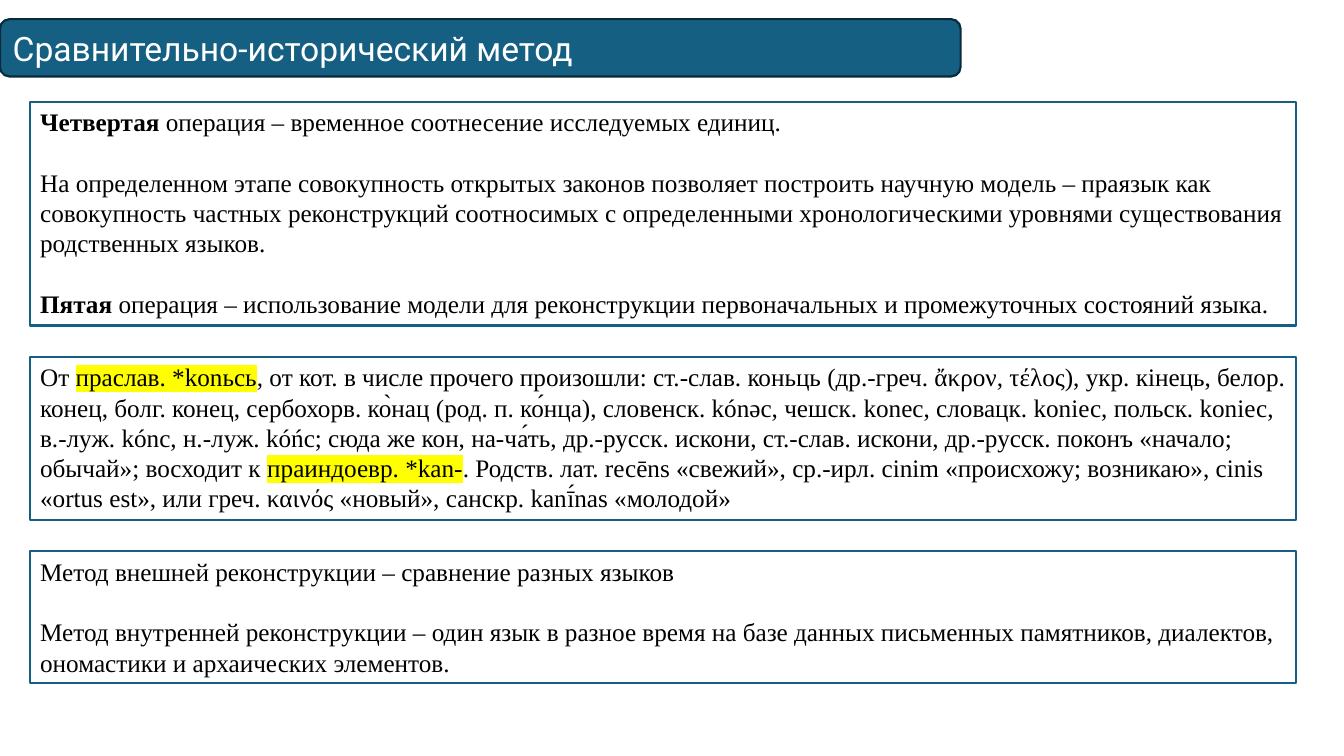
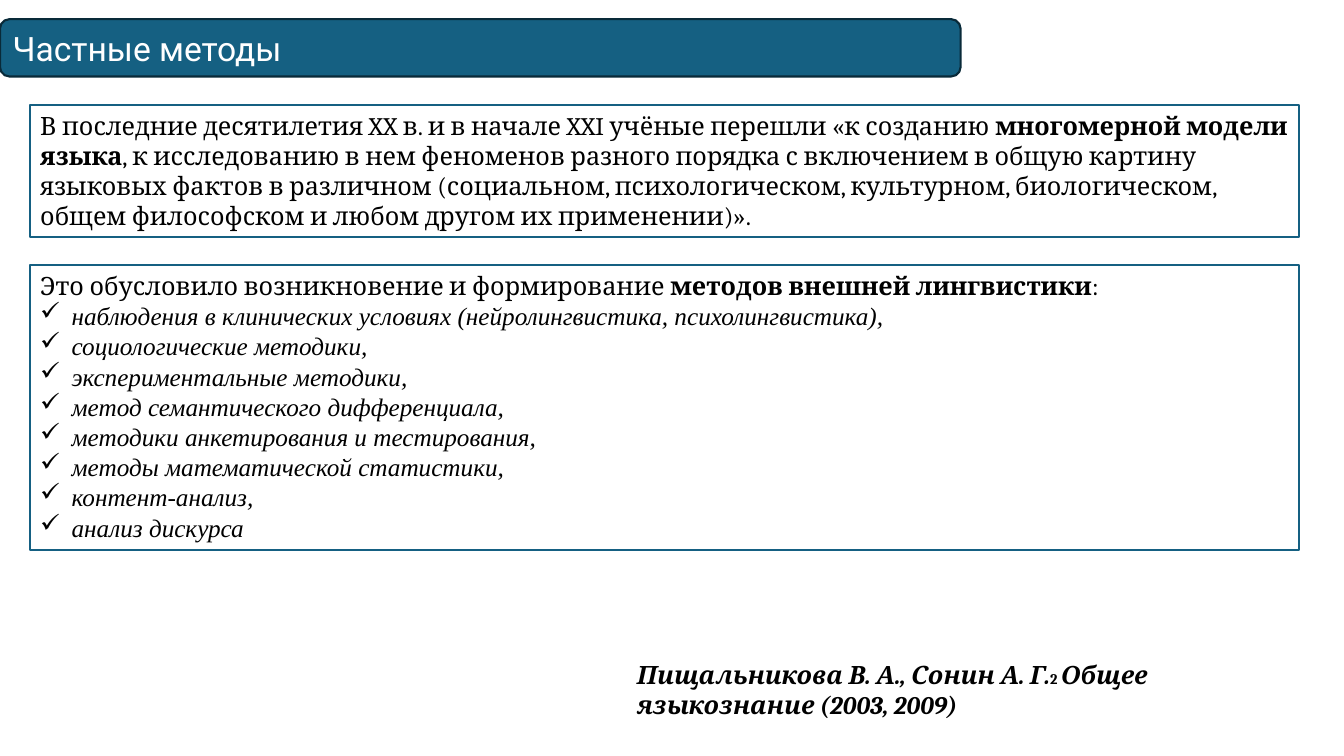
from lxml import etree
from pptx import Presentation
from pptx.dml.color import RGBColor
from pptx.enum.shapes import MSO_SHAPE
from pptx.enum.text import MSO_ANCHOR, PP_ALIGN
from pptx.oxml.ns import qn
from pptx.util import Pt

RECT, ROUNDED = MSO_SHAPE.RECTANGLE, MSO_SHAPE.ROUNDED_RECTANGLE
TOP, MIDDLE, LEFT = MSO_ANCHOR.TOP, MSO_ANCHOR.MIDDLE, PP_ALIGN.LEFT

# Shared look
TEAL, DARK_TEAL, WHITE, BLACK, YELLOW = "156082", "092A39", "FFFFFF", "000000", "FFFF00"
TITLE_FONT, SERIF, BOOK = "Roboto", "Times New Roman", "Cambria"
BODY_SIZE, NOTE_SIZE, TITLE_SIZE = 18, 10.5, 24
LINE_PITCH = 21.6
MARGIN = 21.6
BULLET_INDENT = 22.5


def rgb(value):
    return RGBColor.from_string(value)


def write(frame, paragraphs, font):
    """Each paragraph is (kind, runs); each run is (text, style letters).

    Kinds: "" plain, "gap" one line of space above, "check" ticked item.
    Styles: b bold, i italic, h highlighted, s small.
    """
    frame.word_wrap = True
    for index, (kind, runs) in enumerate(paragraphs):
        paragraph = frame.paragraphs[0] if index == 0 else frame.add_paragraph()
        paragraph.alignment = LEFT
        paragraph.line_spacing = Pt(LINE_PITCH)
        if kind == "gap":
            paragraph.space_before = Pt(LINE_PITCH)
        if kind == "check":
            properties = paragraph._p.get_or_add_pPr()
            properties.set("marL", str(Pt(BULLET_INDENT)))
            properties.set("indent", str(-Pt(BULLET_INDENT)))
            etree.SubElement(properties, qn("a:buChar"), char="✓")
        for text, style in runs:
            run = paragraph.add_run()
            run.text = text
            run.font.size = Pt(NOTE_SIZE if "s" in style else BODY_SIZE)
            run.font.bold = "b" in style
            run.font.italic = "i" in style
            run.font.color.rgb = rgb(BLACK)
            run.font.name = SERIF if kind == "check" else font
            if "h" in style:
                highlight = etree.Element(qn("a:highlight"))
                etree.SubElement(highlight, qn("a:srgbClr"), val=YELLOW)
                run.font._element.find(qn("a:solidFill")).addnext(highlight)


# Content
operations = [
    ("", [("Четвертая", "b"),
          (" операция – временное соотнесение исследуемых единиц.", "")]),
    ("gap", [("На определенном этапе совокупность открытых законов позволяет построить "
              "научную модель – праязык как совокупность частных реконструкций соотносимых "
              "с определенными хронологическими уровнями существования родственных языков.",
              "")]),
    ("gap", [("Пятая", "b"),
             (" операция – использование модели для реконструкции первоначальных и "
              "промежуточных состояний языка.", "")]),
]
etymology = [
    ("", [("От ", ""),
          ("праслав. *konьcь", "h"),
          (", от кот. в числе прочего произошли: ст.-слав. коньць (др.-греч. ἄκρον, τέλος), "
           "укр. кiнець, белор. конец, болг. конец, сербохорв. ко̀нац (род. п. ко́нца), "
           "словенск. kónǝc, чешск. konec, словацк. kоniес, польск. kоniес, в.-луж. kónc, "
           "н.-луж. kóńc; сюда же кон, на-ча́ть, др.-русск. искони, ст.-слав. искони, "
           "др.-русск. поконъ «начало; обычай»; восходит к ", ""),
          ("праиндоевр. *kan-", "h"),
          (". Родств. лат. rесēns «свежий», ср.-ирл. cinim «происхожу; возникаю», cinis "
           "«ortus est», или греч. καινός «новый», санскр. kanī́nas «молодой»", "")]),
]
reconstruction = [
    ("", [("Метод внешней реконструкции – сравнение разных языков", "")]),
    ("gap", [("Метод внутренней реконструкции – один язык в разное время на базе данных "
              "письменных памятников, диалектов, ономастики и архаических элементов.", "")]),
]
language_model = [
    ("", [("В последние десятилетия XX в. и в начале XXI учёные перешли «к созданию ", ""),
          ("многомерной модели языка", "b"),
          (", к исследованию в нем феноменов разного порядка с включением в общую картину "
           "языковых фактов в различном (социальном, психологическом, культурном, "
           "биологическом, общем философском и любом другом их применении)».", "")]),
]
external_methods = [
    ("", [("Это обусловило возникновение и формирование ", ""),
          ("методов внешней лингвистики", "b"), (":", "")]),
] + [("check", [(method, "i")]) for method in (
    "наблюдения в клинических условиях (нейролингвистика, психолингвистика),",
    "социологические методики,",
    "экспериментальные методики,",
    "метод семантического дифференциала,",
    "методики анкетирования и тестирования,",
    "методы математической статистики,",
    "контент-анализ,",
    "анализ дискурса",
)]
citation = [
    ("", [("Пищальникова В. А., Сонин А. Г.", "bi"), ("2 ", "bs"),
          ("Общее языкознание (2003, 2009)", "bi")]),
]

# Title, font, first top, gap, panel width, panels as (height, paragraphs)
pages = [
    ("Сравнительно-исторический метод", SERIF, 72.7, 22.3, 904.3,
     [(159.8, operations), (116.6, etymology), (94.3, reconstruction)]),
    ("Частные методы", BOOK, 74.9, 20.2, 906.5,
     [(94.3, language_model), (203.8, external_methods)]),
]

deck = Presentation()
deck.slide_width, deck.slide_height = Pt(960), Pt(540)

for title, font, top, gap, width, panels in pages:
    slide = deck.slides.add_slide(deck.slide_layouts[6])

    # Title band
    band = slide.shapes.add_shape(ROUNDED, 0, Pt(13.7), Pt(686.2), Pt(41))
    band.shadow.inherit = False
    band.fill.solid()
    band.fill.fore_color.rgb = rgb(TEAL)
    band.line.color.rgb = rgb(DARK_TEAL)
    band.line.width = Pt(1.5)
    band.text_frame.text = title
    band.text_frame.vertical_anchor = MIDDLE
    heading = band.text_frame.paragraphs[0]
    heading.alignment = LEFT
    heading_font = heading.runs[0].font
    heading_font.name, heading_font.size = TITLE_FONT, Pt(TITLE_SIZE)
    heading_font.color.rgb = rgb(WHITE)

    # Outlined panels, stacked with equal gaps
    for height, paragraphs in panels:
        panel = slide.shapes.add_shape(RECT, Pt(MARGIN), Pt(top), Pt(width), Pt(height))
        panel.shadow.inherit = False
        panel.fill.solid()
        panel.fill.fore_color.rgb = rgb(WHITE)
        panel.line.color.rgb = rgb(TEAL)
        panel.line.width = Pt(1.5)
        panel.text_frame.vertical_anchor = TOP
        write(panel.text_frame, paragraphs, font)
        top += height + gap

# Citation at the foot of the last slide
source = slide.shapes.add_textbox(Pt(447.8), Pt(467.3), Pt(479.5), Pt(51))
write(source.text_frame, citation, BOOK)

deck.save("out.pptx")
